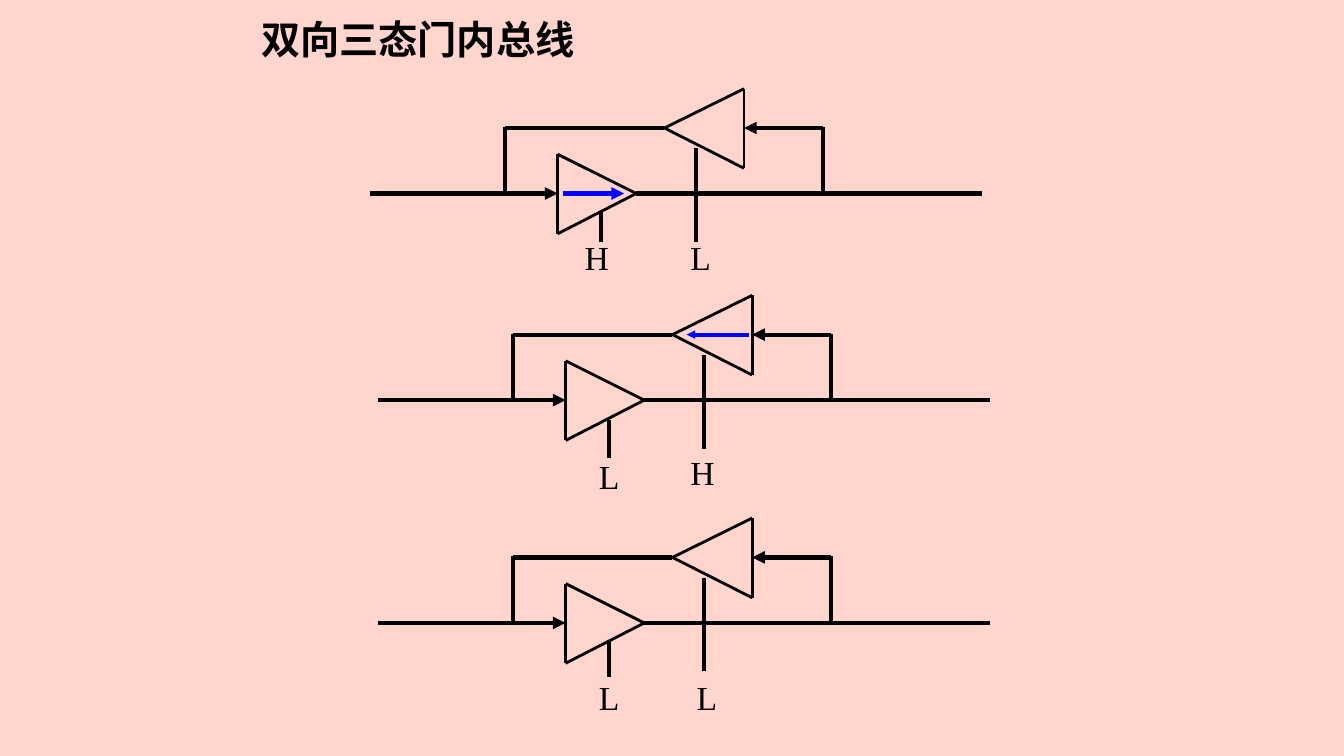
from dataclasses import dataclass
from lxml import etree
from pptx import Presentation
from pptx import util as u
from pptx.dml.color import RGBColor
from pptx.enum import shapes, text
from pptx.oxml.ns import qn

TITLE = "双向三态门内总线"
TITLE_BOX = (249, 10, 339, 53)

CIRCUITS = [
    {"origin": (367, 192), "enable": (18, 48), "signal": (191, 0, 252, 0), "head": "med",
     "labels": [("H", 570, 230), ("L", 675, 230)]},
    {"origin": (375, 397), "enable": (20, 57), "signal": (368, -65, 306, -65), "head": "sm",
     "labels": [("L", 584, 447), ("H", 675, 443)]},
    {"origin": (375, 618), "enable": (17, 54), "signal": None, "head": None,
     "labels": [("L", 584, 667), ("L", 681, 667)]},
]

FORWARD_GATE = [(186, -39), (264, 0), (186, 40)]
REVERSE_GATE = [(371, -104), (292, -65), (371, -25)]
WIRES = [
    (264, 0, 607, 0),
    (134, -65, 292, -65),
    (449, -66, 449, -1),
    (134, -66, 134, -1),
    (323, -45, 323, 48),
]
ARROWS = [(0, 0, 186, 0), (449, -65, 371, -65)]
ENABLE_X = 229
LABEL_SIZE = (41, 50)


@dataclass(frozen=True)
class Theme:
    background: str = "FFD5CD"
    ink: str = "000000"
    signal: str = "0000FF"
    title_font: str = "Noto Sans CJK SC"
    label_font: str = "Times New Roman"
    title_size: int = 28
    label_size: int = 24
    gate_line: int = 2
    wire_line: int = 3


THEME = Theme()
EMU_PER_PX = 9144


def px(value):
    return u.Emu(value * EMU_PER_PX)


def write(shape, content, font, size, bold=False, wrap=True):
    frame = shape.text_frame
    frame.word_wrap = wrap
    frame.auto_size = text.MSO_AUTO_SIZE.NONE
    frame.vertical_anchor = text.MSO_ANCHOR.TOP
    paragraph = frame.paragraphs[0]
    paragraph.alignment = text.PP_ALIGN.LEFT
    run = paragraph.add_run()
    run.text = content
    run.font.name = font
    run.font.size = u.Pt(size)
    run.font.bold = bold
    run.font.color.rgb = RGBColor.from_string(THEME.ink)
    latin = run.font._element.find(qn("a:latin"))
    latin.addnext(etree.Element(qn("a:ea"), typeface=font))


def draw_line(slide, origin, ends, width=THEME.wire_line, color=THEME.ink, head=None):
    left, top = origin
    x1, y1, x2, y2 = ends
    line = slide.shapes.add_connector(
        shapes.MSO_CONNECTOR.STRAIGHT,
        px(left + x1), px(top + y1), px(left + x2), px(top + y2))
    line.line.width = u.Pt(width)
    line.line.color.rgb = RGBColor.from_string(color)
    if head:
        etree.SubElement(line.line._get_or_add_ln(), qn("a:tailEnd"),
                         type="triangle", w=head, len=head)
    etree.SubElement(line._element.spPr, qn("a:effectLst"))


def draw_circuit(slide, circuit):
    origin = circuit["origin"]
    for gate in (FORWARD_GATE, REVERSE_GATE):
        for start, end in zip(gate, gate[1:] + gate[:1]):
            draw_line(slide, origin, start + end, width=THEME.gate_line)
    enable_top, enable_bottom = circuit["enable"]
    for wire in WIRES + [(ENABLE_X, enable_top, ENABLE_X, enable_bottom)]:
        draw_line(slide, origin, wire)
    for arrow in ARROWS:
        draw_line(slide, origin, arrow, head="med")
    if circuit["signal"]:
        draw_line(slide, origin, circuit["signal"], color=THEME.signal, head=circuit["head"])
    for level, left, top in circuit["labels"]:
        label = slide.shapes.add_textbox(*map(px, (left, top) + LABEL_SIZE))
        write(label, level, THEME.label_font, THEME.label_size, wrap=False)


def main():
    presentation = Presentation()
    presentation.slide_width, presentation.slide_height = px(1333), px(750)
    slide = presentation.slides.add_slide(presentation.slide_layouts[5])
    slide.background.fill.solid()
    slide.background.fill.fore_color.rgb = RGBColor.from_string(THEME.background)
    title = slide.shapes.title
    title.left, title.top, title.width, title.height = map(px, TITLE_BOX)
    write(title, TITLE, THEME.title_font, THEME.title_size, bold=True)
    for circuit in CIRCUITS:
        draw_circuit(slide, circuit)
    presentation.save("out.pptx")


if __name__ == "__main__":
    main()
